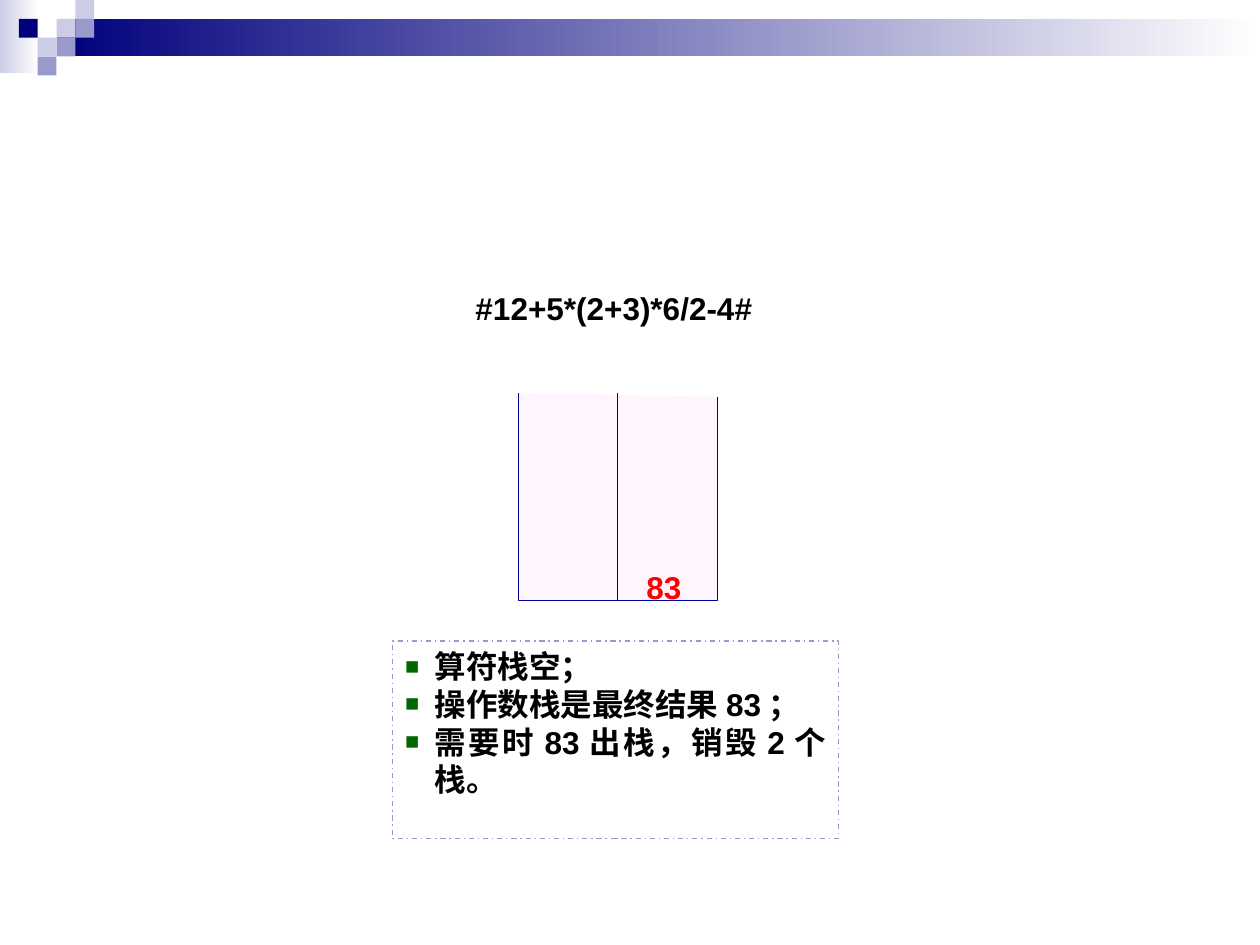
from lxml.etree import SubElement
from pptx import Presentation
from pptx.dml.color import RGBColor
from pptx.enum.dml import MSO_LINE
from pptx.enum.shapes import MSO_CONNECTOR, MSO_SHAPE
from pptx.enum.text import MSO_ANCHOR, PP_ALIGN
from pptx.oxml.ns import qn
from pptx.util import Cm, Pt

NAVY, LAVENDER, VIOLET, WHITE = "00007D", "CCCCE6", "9999CC", "FFFFFF"
STACK_LINE, STACK_FILL = "000099", "FFF5FF"
BLACK, RED, GREEN = "000000", "FF0000", "006600"


def color(hex_string):
    return RGBColor.from_string(hex_string)


def set_line(line, hex_string):
    line.color.rgb = color(hex_string)
    line.width = Pt(0.75)


def add_block(slide, left, top, width, height, *colors):
    """Borderless rectangle: one colour is solid, two make a gradient."""
    shape = slide.shapes.add_shape(
        MSO_SHAPE.RECTANGLE, Cm(left), Cm(top), Cm(width), Cm(height))
    shape.shadow.inherit = False
    shape.line.fill.background()
    if len(colors) == 2:
        shape.fill.gradient()
        shape.fill.gradient_angle = 0
        for stop, hex_string, position in zip(
                shape.fill.gradient_stops, colors, (0, 1)):
            stop.color.rgb = color(hex_string)
            stop.position = position
    elif colors:
        shape.fill.solid()
        shape.fill.fore_color.rgb = color(colors[0])
    else:
        shape.fill.background()
    return shape


def add_bullet(paragraph, indent):
    properties = paragraph._p.get_or_add_pPr()
    properties.set("marL", str(Cm(indent)))
    properties.set("indent", str(-Cm(indent)))
    bullet_color = SubElement(properties, qn("a:buClr"))
    SubElement(bullet_color, qn("a:srgbClr"), val=GREEN)
    SubElement(properties, qn("a:buSzPct"), val="75000")
    SubElement(properties, qn("a:buFont"), typeface="Arial")
    SubElement(properties, qn("a:buChar"), char="■")


def write_text(shape, lines, hex_string, alignment, anchor, wrap, bullets=False):
    frame = shape.text_frame
    frame.word_wrap = wrap
    frame.vertical_anchor = anchor
    frame.text = "\n".join(lines)
    font_format = {"name": "Arial", "size": Pt(18), "bold": True}
    for paragraph in frame.paragraphs:
        paragraph.alignment = alignment
        if bullets:
            add_bullet(paragraph, 0.6)
        for run in paragraph.runs:
            for attribute, value in font_format.items():
                setattr(run.font, attribute, value)
            run.font.color.rgb = color(hex_string)


def add_header(slide, left, top, width, cell):
    """Gradient band with a mosaic of square cells at its left end."""
    mosaic_left = left + 2 * cell
    band_left = mosaic_left + cell
    add_block(slide, left, top, 0.79, 1.47, LAVENDER, WHITE)
    add_block(slide, band_left, top + cell, left + width - band_left, 2 * cell,
              NAVY, WHITE)
    mosaic = [(1, 1, LAVENDER), (2, 0, LAVENDER), (2, 1, VIOLET),
              (0, 2, LAVENDER), (-1, 1, NAVY), (1, 2, VIOLET), (0, 3, VIOLET)]
    for column, row, hex_string in mosaic:
        add_block(slide, mosaic_left + column * cell, top + row * cell,
                  cell, cell, hex_string)


def add_stacks(slide, left, top, width, height, result):
    """Operator and operand stacks, open at the top, with the result at the bottom right."""
    bottom, right, middle = top + height, left + width, left + width / 2
    builder = slide.shapes.build_freeform(Cm(left), Cm(top))
    builder.add_line_segments(
        [(Cm(left), Cm(bottom)), (Cm(right), Cm(bottom)),
         (Cm(right), Cm(top + 0.08))], close=False)
    outline = builder.convert_to_shape()
    outline.shadow.inherit = False
    outline.fill.solid()
    outline.fill.fore_color.rgb = color(STACK_FILL)
    set_line(outline.line, STACK_LINE)

    divider = slide.shapes.add_connector(
        MSO_CONNECTOR.STRAIGHT, Cm(middle), Cm(top), Cm(middle), Cm(bottom))
    set_line(divider.line, STACK_LINE)
    SubElement(divider._element.spPr, qn("a:effectLst"))

    label_width, label_height = 1.0, 2.39
    label = slide.shapes.add_textbox(
        Cm(middle + 0.43), Cm(bottom + 0.15 - label_height),
        Cm(label_width), Cm(label_height))
    margins = {"margin_left": 0, "margin_right": 0, "margin_bottom": Cm(0.05)}
    for attribute, value in margins.items():
        setattr(label.text_frame, attribute, value)
    write_text(label, [result], RED, PP_ALIGN.CENTER, MSO_ANCHOR.BOTTOM, True)


def add_expression(slide, left, top, width, height, expression):
    shape = add_block(slide, left, top, width, height, WHITE)
    write_text(shape, [expression], BLACK, PP_ALIGN.CENTER, MSO_ANCHOR.MIDDLE, False)


def add_explanation(slide, left, top, width, height, lines):
    shape = add_block(slide, left, top, width, height)
    set_line(shape.line, VIOLET)
    shape.line.dash_style = MSO_LINE.DASH_DOT
    write_text(shape, lines, BLACK, PP_ALIGN.JUSTIFY, MSO_ANCHOR.TOP, True, bullets=True)


def main():
    presentation = Presentation()
    presentation.slide_width, presentation.slide_height = Cm(25.4), Cm(19.05)
    slide = presentation.slides.add_slide(presentation.slide_layouts[6])
    add_header(slide, 0, 0, 25.4, 0.38)
    add_stacks(slide, 10.45, 7.92, 4.01, 4.19, "83")
    add_explanation(slide, 7.92, 12.92, 8.99, 3.99, [
        "算符栈空；",
        "操作数栈是最终结果83；",
        "需要时83出栈，销毁2个栈。",
    ])
    add_expression(slide, 8.97, 5.72, 6.81, 0.99, "#12+5*(2+3)*6/2-4#")
    presentation.save("out.pptx")


if __name__ == "__main__":
    main()
